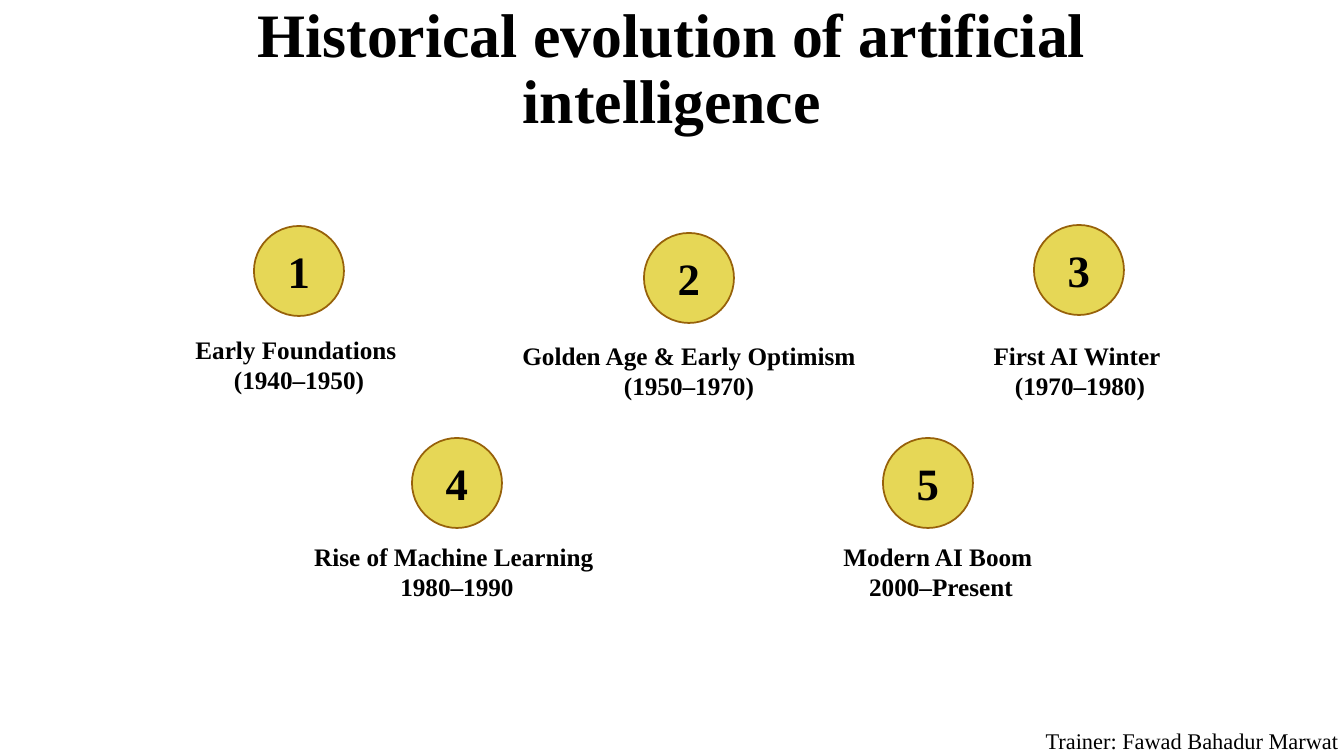
import pptx
import pptx.util
import pptx.dml.color
import pptx.enum.shapes
import pptx.enum.text
import pptx.oxml
import pptx.oxml.ns

# Content
HEADING = "Historical evolution of artificial intelligence"
TRAINER = "Trainer: Fawad Bahadur Marwat"
# number, label paragraphs, label left and top, circle left and top (px)
ERAS = [
    ("1", ["Early Foundations ", "(1940–1950)"], (115, 329), (254, 226)),
    ("2", ["Golden Age & Early Optimism (1950–1970)"], (505, 335), (644, 233)),
    ("3", ["First AI Winter ", "(1970–1980)"], (896, 335), (1034, 225)),
    ("4", ["Rise of Machine Learning ", "1980–1990"], (273, 536), (412, 438)),
    ("5", ["Modern AI Boom ", "2000–Present"], (757, 536), (883, 438)),
]
COLORS = {"paper": "FFFFFF", "ink": "000000", "disc": "E6D756", "rim": "97610A"}
FONT = "Times New Roman"

# Layout in px
SLIDE = (1344, 756)
LABEL = (368, 71)
DISC = 90
PX = 914400 / 100.8


def emu(*lengths):
    return [pptx.util.Emu(round(length * PX)) for length in lengths]


def color(name):
    return pptx.dml.color.RGBColor.from_string(COLORS[name])


def write(frame, lines, size, bold=True, anchor="TOP", spacing=None, shadow=False):
    frame.word_wrap = True
    frame.vertical_anchor = getattr(pptx.enum.text.MSO_ANCHOR, anchor)
    for index, line in enumerate(lines):
        paragraph = frame.paragraphs[0] if index == 0 else frame.add_paragraph()
        paragraph.alignment = pptx.enum.text.PP_ALIGN.CENTER
        if spacing:
            paragraph.line_spacing = spacing
        run = paragraph.add_run()
        run.text = line
        run.font.name = FONT
        run.font.size = pptx.util.Pt(size)
        run.font.bold = bold
        run.font.color.rgb = color("ink")
        if shadow:
            fill = run.font._element.find(pptx.oxml.ns.qn("a:solidFill"))
            fill.addnext(pptx.oxml.parse_xml(
                f'<a:effectLst {pptx.oxml.ns.nsdecls("a")}>'
                '<a:outerShdw blurRad="38100" dist="38100" dir="2700000">'
                '<a:srgbClr val="000000"><a:alpha val="43000"/></a:srgbClr>'
                '</a:outerShdw></a:effectLst>'))


def add_era(slide, number, label_lines, label_at, disc_at):
    era = slide.shapes.add_group_shape().shapes
    label = era.add_textbox(*emu(*label_at, *LABEL))
    write(label.text_frame, label_lines, 18)
    disc = era.add_shape(pptx.enum.shapes.MSO_SHAPE.OVAL, *emu(*disc_at, DISC, DISC))
    disc.shadow.inherit = False
    disc.fill.solid()
    disc.fill.fore_color.rgb = color("disc")
    disc.line.color.rgb = color("rim")
    disc.line.width = pptx.util.Pt(1.25)
    write(disc.text_frame, [number], 32, anchor="MIDDLE")


def main():
    deck = pptx.Presentation()
    deck.slide_width, deck.slide_height = emu(*SLIDE)
    slide = deck.slides.add_slide(deck.slide_layouts[6])
    slide.background.fill.solid()
    slide.background.fill.fore_color.rgb = color("paper")

    # Trainer credit and heading
    trainer = slide.shapes.add_textbox(*emu(1026, 720, 332, 50))
    write(trainer.text_frame, [TRAINER], 16, bold=False, spacing=1.1, shadow=True)
    heading = slide.shapes.add_textbox(*emu(109, 11, 1126, 131))
    write(heading.text_frame, [HEADING], 44.1, anchor="BOTTOM", spacing=0.9, shadow=True)

    # Numbered eras
    for era in ERAS:
        add_era(slide, *era)

    deck.save("out.pptx")


if __name__ == "__main__":
    main()
